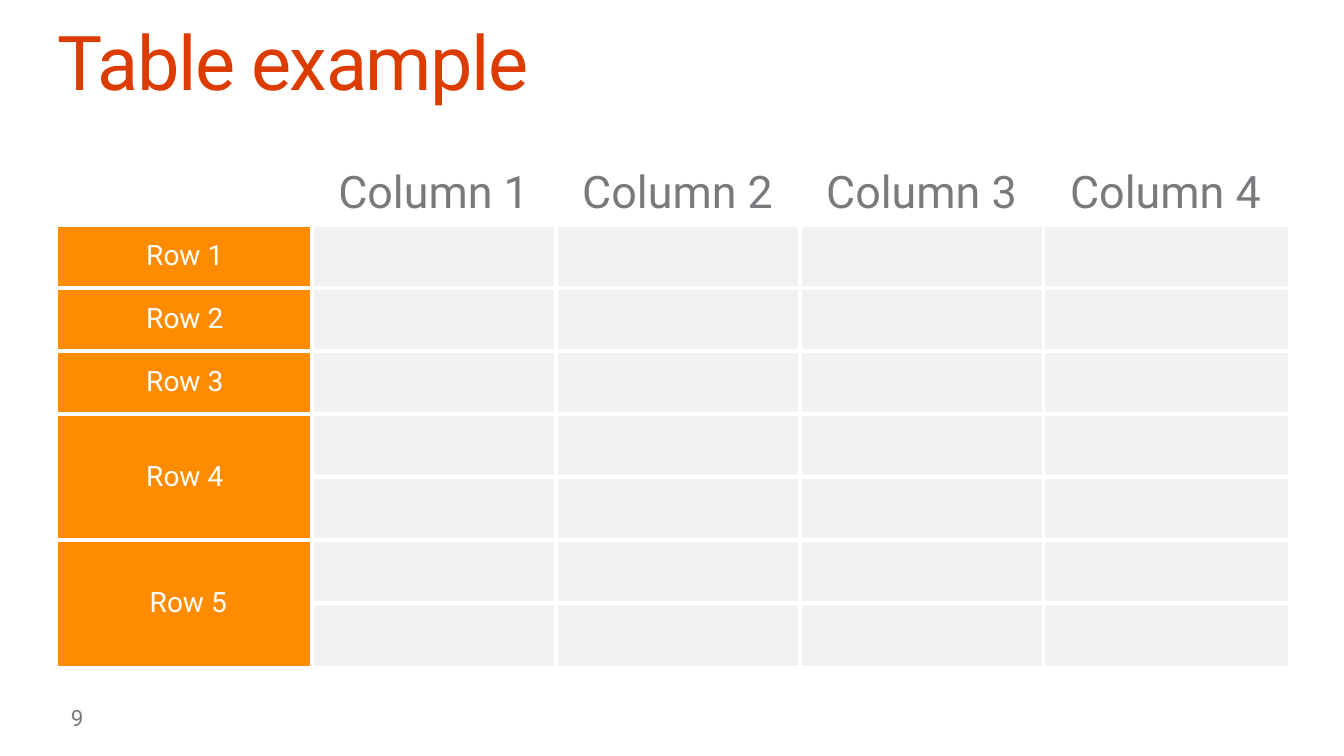
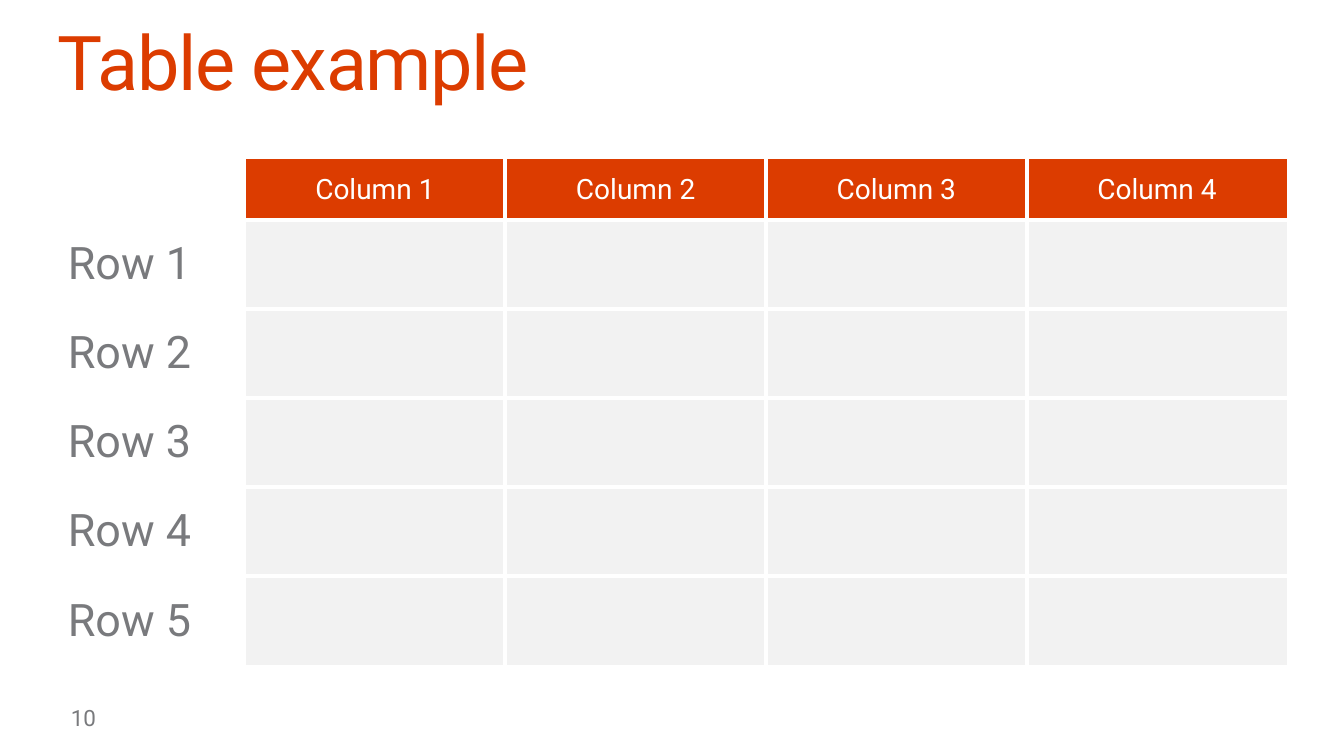
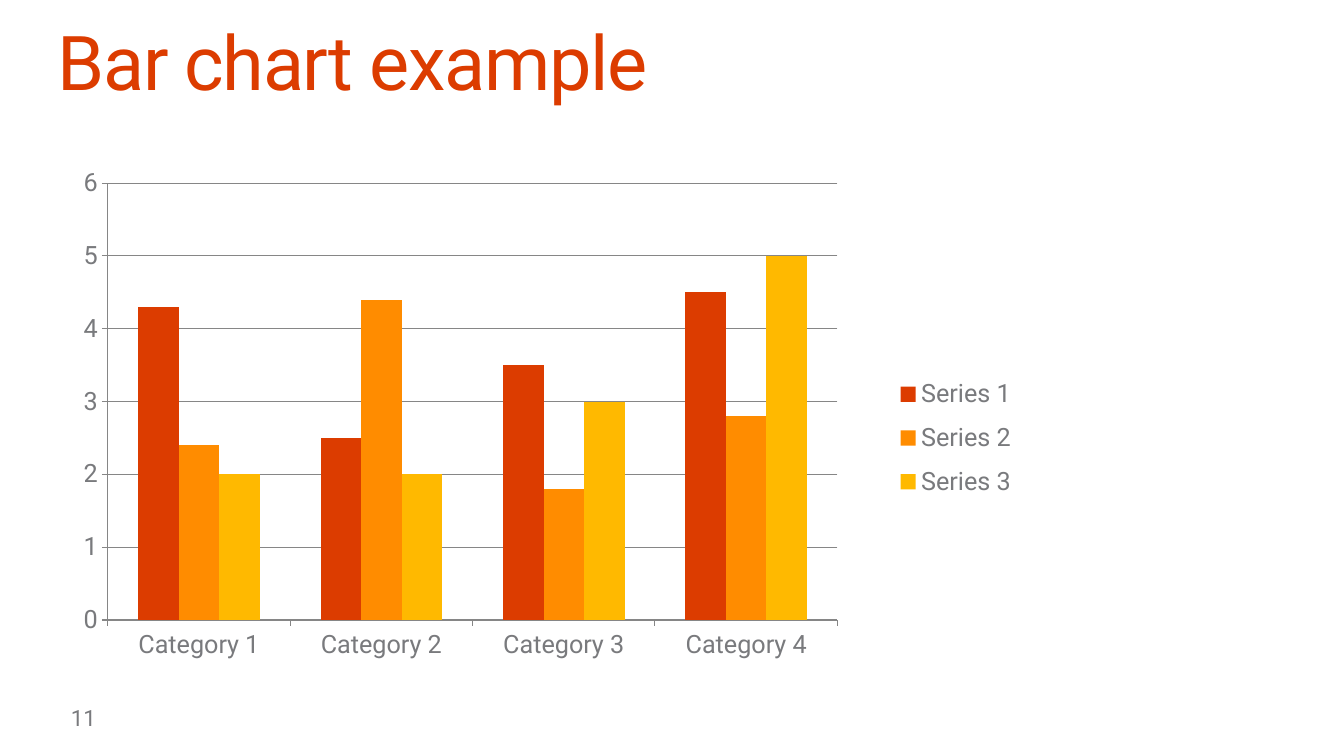
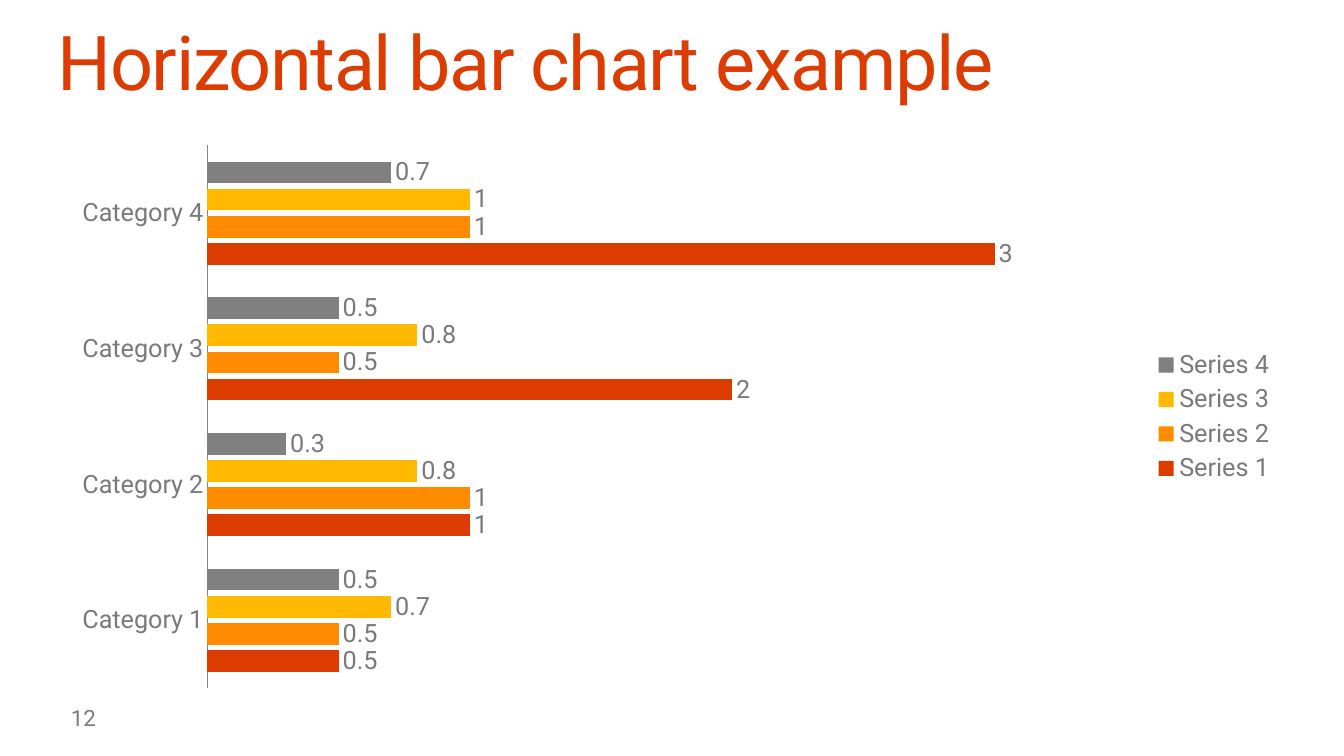
from pptx import Presentation
from pptx.chart.data import CategoryChartData
from pptx.dml.color import RGBColor
from pptx.enum.chart import XL_CHART_TYPE, XL_LABEL_POSITION, XL_LEGEND_POSITION, XL_TICK_MARK
from pptx.enum.text import MSO_ANCHOR, PP_ALIGN
from pptx.oxml import parse_xml
from pptx.oxml.ns import nsdecls, qn
from pptx.util import Inches, Pt

FONT = "Roboto"
RED, ORANGE, YELLOW, GRAY = "DC3C00", "FF8C00", "FFB900", "808080"
TEXT, WHITE, PALE, LINE = "797A7D", "FFFFFF", "F2F2F2", "868686"
LEFT, SPAN = 4.3, 91.5
NO_STYLE = "{2D5ABB26-0587-4C30-8999-92F81FD0307C}"

deck = Presentation()
deck.slide_width, deck.slide_height = Inches(13.33), Inches(7.5)
column, row = deck.slide_width / 100, deck.slide_height / 100


def place(left, top, width, height):
    return [round(left * column), round(top * row), round(width * column), round(height * row)]


def write(frame, text, size, color, align=PP_ALIGN.LEFT, spacing=None, tracking=None):
    para = frame.paragraphs[0]
    para.alignment = align
    para.line_spacing = spacing
    span = para.add_run()
    span.text = text
    span.font.name = FONT
    span.font.size = Pt(size)
    span.font.color.rgb = RGBColor.from_string(color)
    if tracking:
        span.font._element.set("spc", str(tracking))


titles = ["Table example", "Table example", "Bar chart example", "Horizontal bar chart example"]
pages = []
for number, title in enumerate(titles, 9):
    page = deck.slides.add_slide(deck.slide_layouts[6])
    pages.append(page)
    heading = page.shapes.add_textbox(*place(LEFT, 3.33, SPAN, 10.93)).text_frame
    footer = page.shapes.add_textbox(*place(LEFT, 93.33, 4.6, 3.2)).text_frame
    for frame, side, edge in [(heading, 0, 0), (footer, 0.13, 0.07)]:
        frame.word_wrap = True
        frame.margin_left = frame.margin_right = Inches(side)
        frame.margin_top = frame.margin_bottom = Inches(edge)
    footer.vertical_anchor = MSO_ANCHOR.MIDDLE
    write(heading, title, 54, RED, spacing=0.9, tracking=-100)
    write(footer, str(number), 16, TEXT)

center = PP_ALIGN.CENTER
column_names = [f"Column {number}" for number in range(1, 5)]
tables = [
    dict(top=20.27, widths=[18.9] + [18.15] * 4, heights=[9.47] + [8.34] * 7,
         row_names=["Row 1", "Row 2", "Row 3", "Row 4", "", " Row 5", ""], merges=[4, 6],
         header=dict(size=32, color=TEXT, align=center), header_fill=None,
         header_anchor=MSO_ANCHOR.BOTTOM,
         label=dict(size=20, color=WHITE, align=center), label_fill=ORANGE),
    dict(top=21.07, widths=[13.9] + [19.4] * 4, heights=[8] + [11.79] * 5,
         row_names=[f"Row {number}" for number in range(1, 6)], merges=[],
         header=dict(size=20, color=WHITE, align=center), header_fill=RED,
         header_anchor=MSO_ANCHOR.MIDDLE,
         label=dict(size=32, color=TEXT), label_fill=None),
]
for page, plan in zip(pages, tables):
    widths, heights = plan["widths"], plan["heights"]
    table = page.shapes.add_table(
        len(heights), len(widths), *place(LEFT, plan["top"], sum(widths), sum(heights))).table
    table.first_row = table.horz_banding = False
    table._tbl.tblPr.find(qn("a:tableStyleId")).text = NO_STYLE
    for index, width in enumerate(widths):
        table.columns[index].width = round(width * column)
    for index, height in enumerate(heights):
        table.rows[index].height = round(height * row)
    for start in plan["merges"]:
        table.cell(start, 0).merge(table.cell(start + 1, 0))
    for y in range(len(heights)):
        for x in range(len(widths)):
            cell = table.cell(y, x)
            depth = cell.span_height if cell.is_merge_origin else 1
            inner_sides = {"L": x > 0, "R": x + 1 < len(widths), "T": y > 0, "B": y + depth < len(heights)}
            for side, inner in inner_sides.items():
                if inner:
                    cell._tc.get_or_add_tcPr().append(parse_xml(
                        f'<a:ln{side} {nsdecls("a")} w="{Pt(3)}"><a:solidFill>'
                        f'<a:srgbClr val="{WHITE}"/></a:solidFill></a:ln{side}>'))
            text, style, fill, anchor = "", {}, PALE, MSO_ANCHOR.MIDDLE
            if y == 0:
                text, style = ([""] + column_names)[x], plan["header"]
                fill = plan["header_fill"] if x else None
                anchor = plan["header_anchor"]
            elif x == 0:
                text, style, fill = plan["row_names"][y - 1], plan["label"], plan["label_fill"]
                cell.margin_top = cell.margin_bottom = 0
            cell.vertical_anchor = anchor
            if fill:
                cell.fill.solid()
                cell.fill.fore_color.rgb = RGBColor.from_string(fill)
            else:
                cell.fill.background()
            if text:
                write(cell.text_frame, text, **style)

charts = [
    dict(kind=XL_CHART_TYPE.COLUMN_CLUSTERED, area=(4.35, 20.8, 73.37, 68.8), overlap=0,
         values=[[4.3, 2.5, 3.5, 4.5], [2.4, 4.4, 1.8, 2.8], [2, 2, 3, 5]]),
    dict(kind=XL_CHART_TYPE.BAR_CLUSTERED, area=(LEFT, 17.73, 91.37, 74.8), overlap=-25,
         values=[[0.5, 1, 2, 3], [0.5, 1, 0.5, 1], [0.7, 0.8, 0.8, 1], [0.5, 0.3, 0.5, 0.7]]),
]
for page, plan in zip(pages[2:], charts):
    data = CategoryChartData()
    data.categories = [f"Category {number}" for number in range(1, 5)]
    for number, values in enumerate(plan["values"], 1):
        data.add_series(f"Series {number}", values)
    chart = page.shapes.add_chart(plan["kind"], *place(*plan["area"]), data).chart
    chart.has_title = False
    chart.font.name = FONT
    chart.font.size = Pt(18)
    chart.font.color.rgb = RGBColor.from_string(TEXT)
    chart.has_legend = True
    chart.legend.position = XL_LEGEND_POSITION.RIGHT
    chart.legend.include_in_layout = False
    plot = chart.plots[0]
    plot.gap_width, plot.overlap = 150, plan["overlap"]
    plot.vary_by_categories = False
    for series, color in zip(plot.series, [RED, ORANGE, YELLOW, GRAY]):
        series.format.fill.solid()
        series.format.fill.fore_color.rgb = RGBColor.from_string(color)
    category, value = chart.category_axis, chart.value_axis
    lines = [category.format.line, value.format.line]
    if plan["kind"] == XL_CHART_TYPE.COLUMN_CLUSTERED:
        value.has_major_gridlines = True
        lines.append(value.major_gridlines.format.line)
        category.major_tick_mark = value.major_tick_mark = XL_TICK_MARK.OUTSIDE
        layouts = [(chart._chartSpace.chart.plotArea, '<c:layoutTarget val="inner"/>', (0.05, 0.05, 0.74, 0.84)),
                   (chart.legend._element, "", (0.84, 0.4, 0.14, 0.28))]
        for element, target, (left, top, width, height) in layouts:
            for old in element.findall(qn("c:layout")):
                element.remove(old)
            position = element.find(qn("c:legendPos"))
            element.insert(0 if position is None else 1, parse_xml(
                f'<c:layout {nsdecls("c")}><c:manualLayout>{target}'
                '<c:xMode val="edge"/><c:yMode val="edge"/>'
                f'<c:x val="{left}"/><c:y val="{top}"/><c:w val="{width}"/><c:h val="{height}"/>'
                '</c:manualLayout></c:layout>'))
    else:
        value.has_major_gridlines = False
        value.visible = False
        category.major_tick_mark = XL_TICK_MARK.NONE
        plot.has_data_labels = True
        plot.data_labels.show_value = True
        plot.data_labels.position = XL_LABEL_POSITION.OUTSIDE_END
    for line in lines:
        line.width = Pt(0.75)
        line.color.rgb = RGBColor.from_string(LINE)

deck.save("out.pptx")
